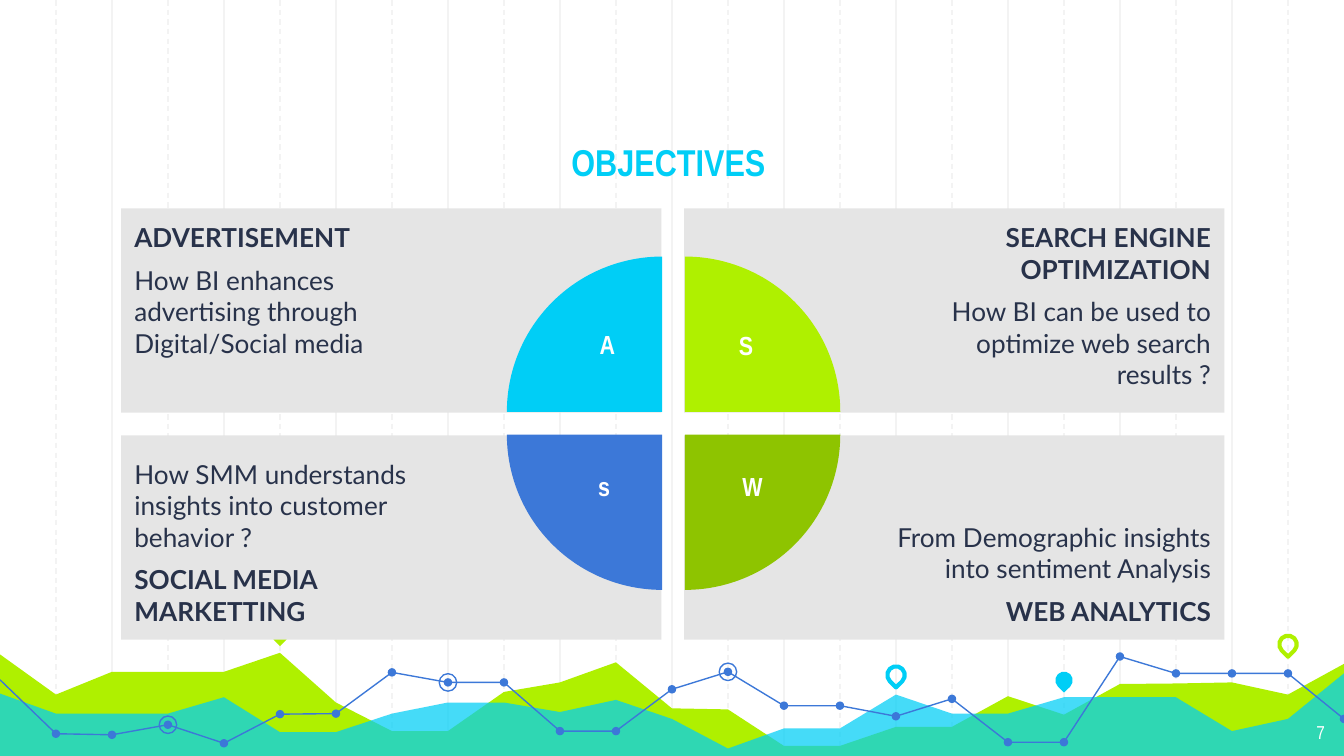
import pptx
import pptx.dml.color
import pptx.enum.dml
import pptx.enum.shapes
import pptx.enum.text
import pptx.oxml
import pptx.oxml.ns
import pptx.util

Cm = pptx.util.Cm
Pt = pptx.util.Pt
SHAPE = pptx.enum.shapes.MSO_SHAPE
ALIGN = pptx.enum.text.PP_ALIGN
ANCHOR = pptx.enum.text.MSO_ANCHOR

WIDTH, HEIGHT = 25.4, 14.29
STEPS = 24
CYAN, LIME, GREEN, BLUE = "00CEF6", "AFF000", "8EC400", "3C78D8"
INK, PANEL, GRID, WHITE = "28324A", "E5E5E5", "F3F3F3", "FFFFFF"

LIME_HEIGHTS = [12.37, 13.13, 12.7, 12.7, 12.7, 12.34, 13.28, 13.82, 13.82,
                13.08, 12.9, 12.52, 13.39, 13.41, 14.1, 14.1, 13.74, 13.74,
                13.16, 13.51, 12.93, 12.92, 12.9, 13.13, 12.55]
CYAN_HEIGHTS = [13.11, 13.49, 13.49, 13.49, 13.18, 13.84, 13.84, 13.49, 13.28,
                13.28, 13.46, 13.23, 13.59, 14.15, 13.77, 13.77, 13.13, 13.49,
                13.49, 13.18, 13.18, 13.18, 13.82, 13.59, 12.73]
LINE_HEIGHTS = [12.85, 13.87, 13.89, 13.7, 14.05, 13.5, 13.49, 12.71, 12.9,
                12.9, 13.82, 13.82, 13.03, 12.7, 13.34, 13.34, 13.54, 13.21,
                14.03, 14.03, 12.41, 12.73, 12.73, 12.73, 13.59]
RINGED_STEPS = [3, 8, 13]
PINS = [(5, 11.98, LIME, True), (16, 12.76, CYAN, False),
        (19, 12.86, CYAN, True), (23, 12.18, LIME, False)]


def colour(value):
    """Turn a hex string into an RGB colour."""
    return pptx.dml.color.RGBColor.from_string(value)


def paint(shape, fill=None, line=None, weight=0.75):
    """Set fill and outline, leaving out whichever is not given."""
    shape.shadow.inherit = False
    if fill:
        shape.fill.solid()
        shape.fill.fore_color.rgb = colour(fill)
    else:
        shape.fill.background()
    if line:
        shape.line.color.rgb = colour(line)
        shape.line.width = Pt(weight)
    else:
        shape.line.fill.background()


def add_preset(page, kind, box, **style):
    """Add a painted preset shape in a box given in centimetres."""
    shape = page.shapes.add_shape(kind, *map(Cm, box))
    paint(shape, **style)
    return shape


def add_dot(page, kind, x, y, size, **style):
    """Add a small preset shape centred on a point."""
    return add_preset(page, kind, (x - size / 2, y - size / 2, size, size), **style)


def add_outline(page, points, close, **style):
    """Add a painted freeform through the points."""
    start, *rest = [(Cm(x), Cm(y)) for x, y in points]
    builder = page.shapes.build_freeform(*start)
    builder.add_line_segments(rest, close=close)
    shape = builder.convert_to_shape()
    paint(shape, **style)
    return shape


def write(para, text, size, font, hue, bold=False, align=ALIGN.LEFT):
    """Write one run into a paragraph."""
    para.alignment = align
    span = para.add_run()
    span.text = text
    span.font.size = Pt(size)
    span.font.name = font
    span.font.bold = bold
    span.font.color.rgb = colour(hue)


def set_frame(frame, insets, anchor=ANCHOR.TOP, wrap=True):
    """Set insets (left, top, right, bottom), anchor and wrapping."""
    frame.margin_left, frame.margin_top, frame.margin_right, frame.margin_bottom = map(Cm, insets)
    frame.vertical_anchor = anchor
    frame.word_wrap = wrap


def add_label(page, box, text, size, hue, align=ALIGN.CENTER, bold=True,
              anchor=ANCHOR.TOP, inset=0.25):
    """Add a one-line text box."""
    frame = page.shapes.add_textbox(*map(Cm, box)).text_frame
    set_frame(frame, (inset,) * 4, anchor, wrap=False)
    write(frame.paragraphs[0], text, size, "Arial Narrow", hue, bold, align)


def add_grid(page, box):
    """Draw the vertical rules, every odd one dashed."""
    left, top, width, height = box
    for step in range(1, STEPS):
        x = Cm(left + step * width / STEPS)
        rule = page.shapes.add_connector(
            pptx.enum.shapes.MSO_CONNECTOR.STRAIGHT, x, Cm(top), x, Cm(top + height))
        rule.line.color.rgb = colour(GRID)
        rule.line.width = Pt(0.75)
        if step % 2:
            rule.line.dash_style = pptx.enum.dml.MSO_LINE.DASH
        pptx.oxml.ns.qn("a:effectLst")
        rule._element.spPr.append(pptx.oxml.parse_xml(
            "<a:effectLst %s/>" % pptx.oxml.ns.nsdecls("a")))


def add_landscape(page, box):
    """Draw the two areas, the dotted line and the pins along the bottom."""
    left, top, width, height = box
    xs = [left + step * width / STEPS for step in range(STEPS + 1)]
    base = [(left + width, top + height), (left, top + height)]
    add_outline(page, [*zip(xs, LIME_HEIGHTS), *base], True, fill=LIME)
    veil = add_outline(page, [*zip(xs, CYAN_HEIGHTS), *base], True, fill=CYAN)
    hue = veil._element.spPr.find(".//" + pptx.oxml.ns.qn("a:srgbClr"))
    hue.append(pptx.oxml.parse_xml(
        '<a:alpha %s val="73000"/>' % pptx.oxml.ns.nsdecls("a")))
    add_outline(page, list(zip(xs, LINE_HEIGHTS)), False, line=BLUE)
    for x, y in list(zip(xs, LINE_HEIGHTS))[1:]:
        add_dot(page, SHAPE.OVAL, x, y, 0.16, fill=BLUE)
    for step in RINGED_STEPS:
        add_dot(page, SHAPE.OVAL, xs[step], LINE_HEIGHTS[step], 0.33, line=BLUE)
    for step, y, hue, solid in PINS:
        style = {"fill": hue} if solid else {"line": hue, "weight": 2.25}
        pin = add_dot(page, SHAPE.TEAR, xs[step], y, 0.33, **style)
        pin.rotation = 135


def add_panel(page, box, lines, right, low):
    """Draw one grey panel; lines are (text, bold) pairs."""
    panel = add_preset(page, SHAPE.RECTANGLE, box, fill=PANEL)
    frame = panel.text_frame
    insets = (3.81, 0.25, 0.25, 0.25) if right else (0.25, 0.25, 3.81, 0.25)
    set_frame(frame, insets, ANCHOR.BOTTOM if low else ANCHOR.TOP)
    for index, (text, bold) in enumerate(lines):
        para = frame.add_paragraph() if index else frame.paragraphs[0]
        if index:
            para.space_before = Pt(6)
        write(para, text, 14, "Lato", INK, bold, ALIGN.RIGHT if right else ALIGN.LEFT)


def add_quarter(page, box, turn, hue):
    """Draw a quarter disc, turned clockwise from the upper left."""
    quarter = add_preset(page, SHAPE.PIE, box, fill=hue)
    quarter.adjustments[0] = 108
    quarter.adjustments[1] = 162
    quarter.rotation = turn


def add_matrix(page, box):
    """Draw the four panels with the split disc and its letters."""
    left, top, width, height = box
    gap, disc, shift = 0.43, 5.87, 0.43
    wide, high = (width - gap) / 2, (height - gap) / 2
    quarters = [
        (0, 0, 0, CYAN, "A", (11.48, 6.07),
         [("ADVERTISEMENT", True),
          ("How BI enhances advertising through Digital/Social media", False)]),
        (1, 0, 90, LIME, "S", (14.1, 6.1),
         [("SEARCH ENGINE OPTIMIZATION", True),
          ("How BI can be used to optimize web search results ?", False)]),
        (1, 1, 180, GREEN, "W", (14.22, 8.76),
         [("From Demographic insights into sentiment Analysis", False),
          ("WEB ANALYTICS", True)]),
        (0, 1, 270, BLUE, "s", (11.42, 8.76),
         [("How SMM understands insights into customer behavior ?", False),
          ("SOCIAL MEDIA MARKETTING", True)]),
    ]
    for column, row, _, _, _, _, lines in quarters:
        place = (left + column * (wide + gap), top + row * (high + gap), wide, high)
        add_panel(page, place, lines, column == 1, row == 1)
    for column, row, turn, hue, _, _, _ in quarters:
        place = (left + 7.29 + column * shift, top + 0.91 + row * shift, disc, disc)
        add_quarter(page, place, turn, hue)
    for _, _, _, _, letter, (x, y), _ in quarters:
        add_label(page, (x - 0.5, y, 1, 1.24), letter, 14, WHITE, inset=0.13)


def main():
    """Build the objectives slide."""
    deck = pptx.Presentation()
    deck.slide_width, deck.slide_height = Cm(WIDTH), Cm(HEIGHT)
    page = deck.slides.add_slide(deck.slide_layouts[6])
    add_grid(page, (0, 0, WIDTH, HEIGHT))
    add_landscape(page, (0, 0, WIDTH, HEIGHT))
    add_label(page, (2.92, 1.75, 19.43, 1.98), "OBJECTIVES", 20, CYAN,
              anchor=ANCHOR.BOTTOM)
    add_label(page, (23.77, 13.41, 1.52, 0.88), "7", 10, WHITE, ALIGN.RIGHT, bold=False)
    add_matrix(page, (2.29, 3.94, 20.85, 8.15))
    deck.save("out.pptx")


if __name__ == "__main__":
    main()
